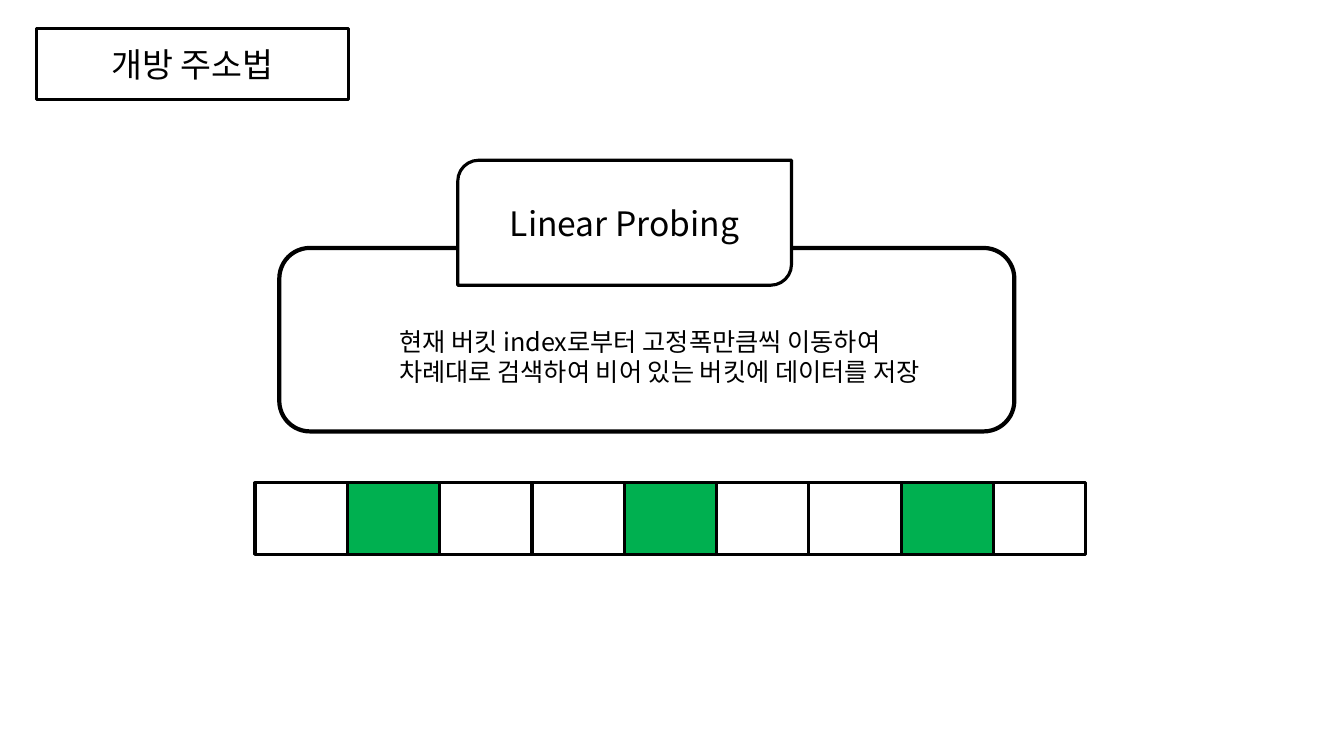
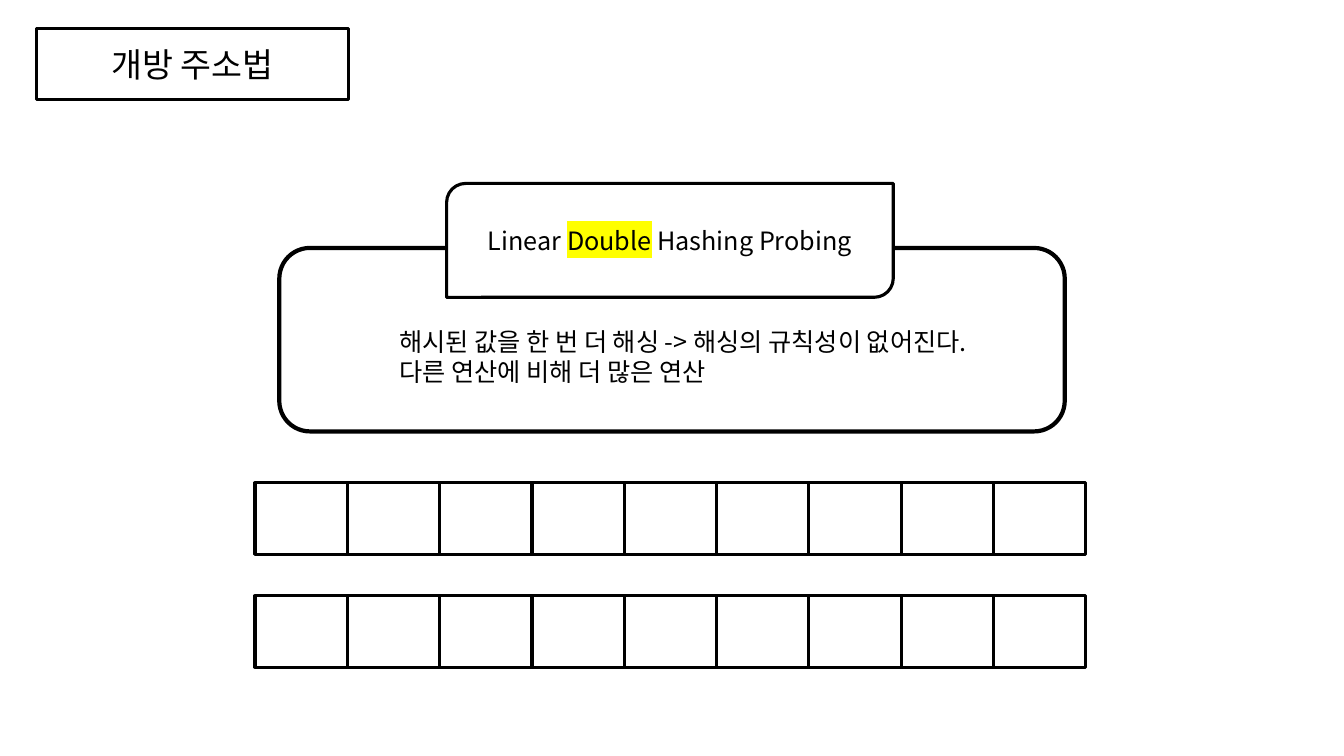
from dataclasses import dataclass

from lxml import etree
from pptx import Presentation
from pptx import util as u
from pptx.dml.color import RGBColor
from pptx.enum import shapes, text
from pptx.oxml.ns import qn

# Content: each label is a list of (words, highlighted) pieces
TITLE = "개방 주소법"
CELLS_PER_ROW = 9
SLIDES = [
    {
        "label": [("Linear Probing", False)],
        "label_size": 24,
        "label_box": (454, 159, 331, 124),
        "panel_width": 729,
        "lines": ["현재 버킷 index로부터 고정폭만큼씩 이동하여",
                  "차례대로 검색하여 비어 있는 버킷에 데이터를 저장"],
        "bucket_rows": [{1, 4, 7}],  # occupied buckets in each row
    },
    {
        "label": [("Linear ", False), ("Double", True), (" Hashing Probing", False)],
        "label_size": 18,
        "label_box": (443, 182, 443, 113),
        "panel_width": 779,
        "lines": ["해시된 값을 한 번 더 해싱 -> 해싱의 규칙성이 없어진다.",
                  "다른 연산에 비해 더 많은 연산"],
        "bucket_rows": [set(), set()],
    },
]


@dataclass(frozen=True)
class Theme:
    font: str = "Noto Sans CJK KR"
    ink: str = "000000"
    paper: str = "FFFFFF"
    occupied: str = "00B050"
    highlight: str = "FFFF00"
    title_size: int = 24
    body_size: int = 18
    body_leading: float = 21.5
    border: float = 2.25
    panel_border: float = 3


THEME = Theme()

# Layout, in px (100 to the inch)
PX = 9144
SLIDE_SIZE = (1333, 750)
TITLE_BOX = (36, 28, 310, 71)
PANEL_LEFT, PANEL_TOP, PANEL_HEIGHT = 277, 246, 182
PANEL_INSETS = {"margin_left": 110, "margin_top": 39, "margin_right": 10, "margin_bottom": 5}
ROW_LEFT, ROW_TOP, ROW_WIDTH = 253, 479, 824
ROW_STEP, CELL_HEIGHT = 112, 71


def px(value):
    return u.Emu(round(value * PX))


def outline(shape, fill=THEME.paper, border=THEME.border):
    shape.fill.solid()
    shape.fill.fore_color.rgb = RGBColor.from_string(fill)
    shape.line.color.rgb = RGBColor.from_string(THEME.ink)
    shape.line.width = u.Pt(border)


def add_box(slide, kind, box, **look):
    shape = slide.shapes.add_shape(kind, *map(px, box))
    shape.shadow.inherit = False
    outline(shape, **look)
    return shape


def add_run(paragraph, words, size, highlighted=False):
    run = paragraph.add_run()
    run.text = words
    for name, value in {"name": THEME.font, "size": u.Pt(size)}.items():
        setattr(run.font, name, value)
    run.font.color.rgb = RGBColor.from_string(THEME.ink)
    latin = run.font._element.find(qn("a:latin"))
    latin.addnext(latin.makeelement(qn("a:ea"), {"typeface": THEME.font}))
    if highlighted:
        marker = latin.makeelement(qn("a:highlight"), {})
        etree.SubElement(marker, qn("a:srgbClr"), val=THEME.highlight)
        latin.addprevious(marker)


def format_frame(frame, **extra):
    settings = {"word_wrap": True, "auto_size": text.MSO_AUTO_SIZE.NONE,
                "vertical_anchor": text.MSO_ANCHOR.MIDDLE, **extra}
    for name, value in settings.items():
        setattr(frame, name, value)


def add_title(slide):
    title = slide.shapes.title
    for name, value in zip(("left", "top", "width", "height"), TITLE_BOX):
        setattr(title, name, px(value))
    outline(title)
    format_frame(title.text_frame)
    heading = title.text_frame.paragraphs[0]
    heading.alignment = text.PP_ALIGN.CENTER
    add_run(heading, TITLE, THEME.title_size)


def add_panel(slide, width, lines):
    panel = add_box(slide, shapes.MSO_SHAPE.ROUNDED_RECTANGLE,
                    (PANEL_LEFT, PANEL_TOP, width, PANEL_HEIGHT),
                    border=THEME.panel_border)
    frame = panel.text_frame
    format_frame(frame, **{side: px(inset) for side, inset in PANEL_INSETS.items()})
    for i, line in enumerate(lines):
        paragraph = frame.add_paragraph() if i else frame.paragraphs[0]
        paragraph.alignment = text.PP_ALIGN.LEFT
        paragraph.line_spacing = u.Pt(THEME.body_leading)
        add_run(paragraph, line, THEME.body_size)


def add_label(slide, box, pieces, size):
    label = add_box(slide, shapes.MSO_SHAPE.ROUND_2_DIAG_RECTANGLE, box)
    format_frame(label.text_frame)
    paragraph = label.text_frame.paragraphs[0]
    paragraph.alignment = text.PP_ALIGN.CENTER
    for words, highlighted in pieces:
        add_run(paragraph, words, size, highlighted)


def add_buckets(slide, rows):
    cell_width = ROW_WIDTH / CELLS_PER_ROW
    for r, occupied in enumerate(rows):
        for c in range(CELLS_PER_ROW):
            add_box(slide, shapes.MSO_SHAPE.RECTANGLE,
                    (ROW_LEFT + c * cell_width, ROW_TOP + r * ROW_STEP,
                     cell_width, CELL_HEIGHT),
                    fill=THEME.occupied if c in occupied else THEME.paper)


def main():
    deck = Presentation()
    deck.slide_width, deck.slide_height = map(px, SLIDE_SIZE)
    title_only = deck.slide_layouts[5]
    for content in SLIDES:
        slide = deck.slides.add_slide(title_only)
        add_title(slide)
        add_panel(slide, content["panel_width"], content["lines"])
        add_label(slide, content["label_box"], content["label"], content["label_size"])
        add_buckets(slide, content["bucket_rows"])
    deck.save("out.pptx")


if __name__ == "__main__":
    main()
